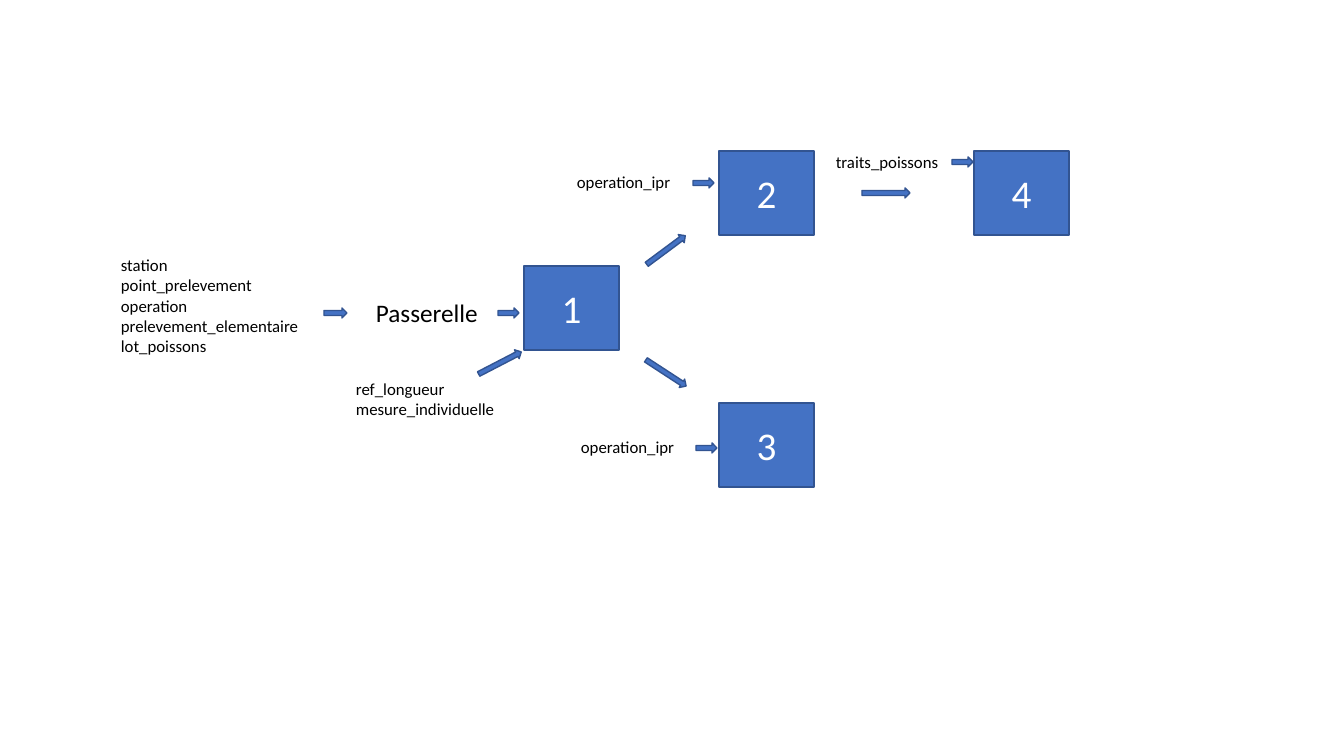
import pptx
import pptx.util
import pptx.dml.color
import pptx.enum.shapes
import pptx.enum.text

PIXEL = 914400 / 100.8
BLUE = pptx.dml.color.RGBColor(0x44, 0x72, 0xC4)
DARK_BLUE = pptx.dml.color.RGBColor(0x32, 0x54, 0x91)
BLACK = pptx.dml.color.RGBColor(0, 0, 0)
WHITE = pptx.dml.color.RGBColor(0xFF, 0xFF, 0xFF)
SHAPES = pptx.enum.shapes.MSO_SHAPE
ALIGN = pptx.enum.text.PP_ALIGN
ANCHOR = pptx.enum.text.MSO_ANCHOR
FIT = pptx.enum.text.MSO_AUTO_SIZE.SHAPE_TO_FIT_TEXT

BOX_WIDTH, BOX_HEIGHT = 95, 84
ARROW_HEIGHT = 10
SHORT, LONG = 21, 48

inputs = [
    (111, 250, 250, 152, 12, True,
     ["station", "point_prelevement", "operation", "prelevement_elementaire", "lot_poissons"]),
    (366, 292, 123, 40, 18, False, ["Passerelle"]),
    (346, 374, 224, 92, 12, True, ["ref_longueur", "mesure_individuelle"]),
    (567, 167, 275, 30, 12, True, ["operation_ipr"]),
    (826, 147, 275, 30, 12, True, ["traits_poissons"]),
    (571, 432, 275, 30, 12, True, ["operation_ipr"]),
]
steps = [("1", 524, 266), ("2", 719, 151), ("3", 719, 403), ("4", 974, 151)]
arrows = [
    (324, 308, 23, 0),
    (498, 308, SHORT, 0),
    (476, 358, LONG, 332.6),
    (642, 245, LONG, 323.4),
    (693, 178, SHORT, 0),
    (862, 188, LONG, 0),
    (642, 368, LONG, 33.1),
    (952, 157, SHORT, 0),
    (696, 443, SHORT, 0),
]


def add_blue_shape(kind, *frame):
    shape = page.shapes.add_shape(kind, *[round(value * PIXEL) for value in frame])
    shape.shadow.inherit = False
    shape.fill.solid()
    shape.fill.fore_color.rgb = BLUE
    shape.line.color.rgb = DARK_BLUE
    shape.line.width = pptx.util.Pt(1)
    return shape


def write_lines(frame, lines, size, color, align):
    frame.text = "\n".join(lines)
    for para in frame.paragraphs:
        para.alignment = align
        font = para.runs[0].font
        for name, value in {"name": "Calibri", "size": pptx.util.Pt(size)}.items():
            setattr(font, name, value)
        font.color.rgb = color


deck = pptx.Presentation()
deck.slide_width = round(1344 * PIXEL)
deck.slide_height = round(756 * PIXEL)
page = deck.slides.add_slide(deck.slide_layouts[6])

for left, top, width, height, size, wrap, lines in inputs:
    box = page.shapes.add_textbox(
        *[round(value * PIXEL) for value in (left, top, width, height)])
    write_lines(box.text_frame, lines, size, BLACK, ALIGN.LEFT)
    for name, value in {"word_wrap": wrap, "auto_size": FIT}.items():
        setattr(box.text_frame, name, value)

for number, left, top in steps:
    box = add_blue_shape(SHAPES.RECTANGLE, left, top, BOX_WIDTH, BOX_HEIGHT)
    write_lines(box.text_frame, [number], 28, WHITE, ALIGN.CENTER)
    box.text_frame.vertical_anchor = ANCHOR.MIDDLE

for left, top, length, angle in arrows:
    arrow = add_blue_shape(SHAPES.RIGHT_ARROW, left, top, length, ARROW_HEIGHT)
    arrow.rotation = angle

deck.save("out.pptx")
